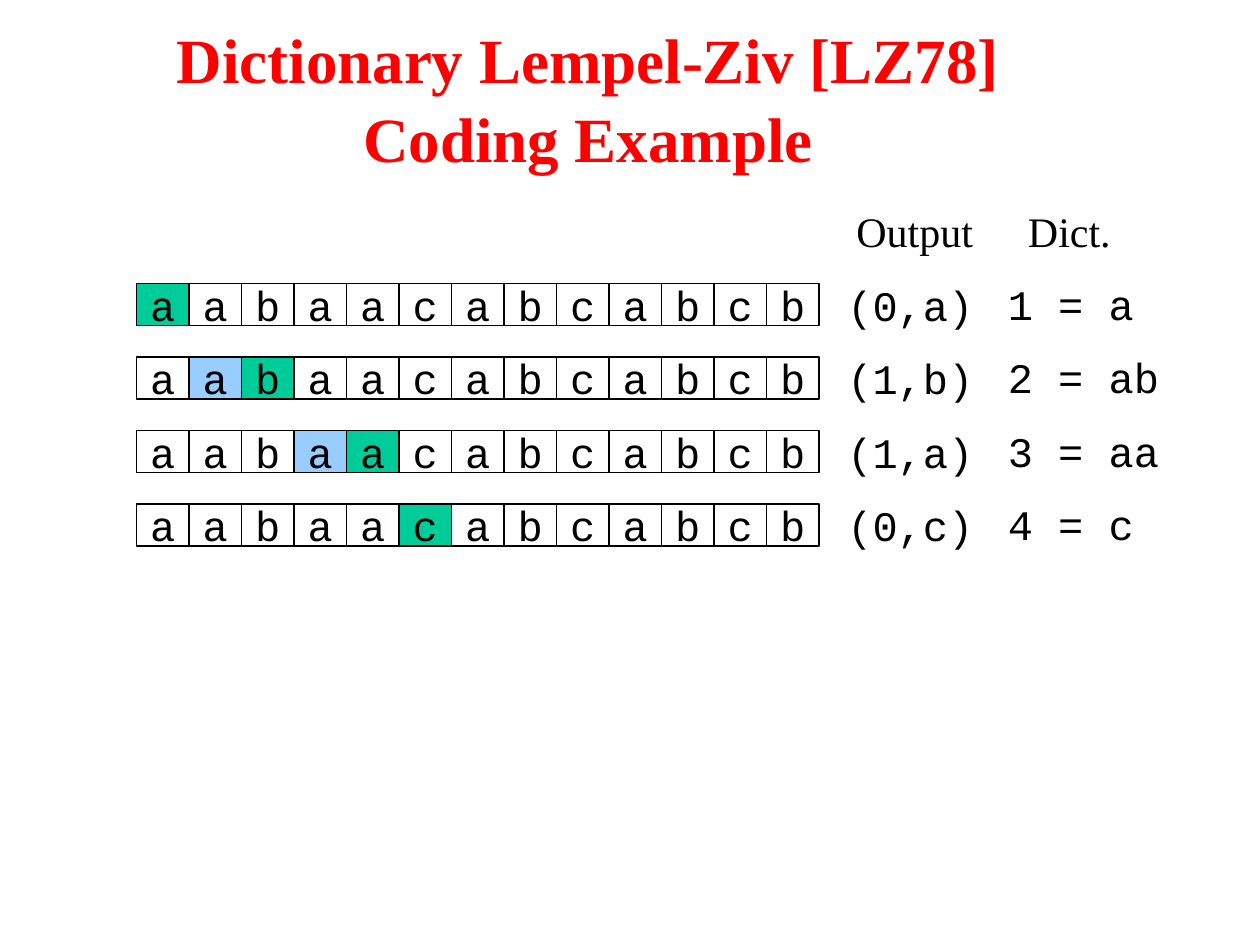
from dataclasses import dataclass

from pptx import Presentation
from pptx.dml.color import RGBColor as RGB
from pptx.enum.shapes import MSO_SHAPE as Shape
from pptx.enum.text import MSO_ANCHOR as Anchor, MSO_AUTO_SIZE as Fit, PP_ALIGN as Align
from pptx.util import Inches, Pt


@dataclass(frozen=True)
class Theme:
    ink: str = "000000"
    paper: str = "FFFFFF"
    title: str = "FF0000"
    match: str = "99CCFF"
    next: str = "00CC99"
    serif: str = "Times New Roman"
    mono: str = "Courier New"
    big: int = 36
    body: int = 24
    line: float = 0.75
    gap: int = 2


THEME = Theme()

# Grid: 120 columns by 90 rows on a slide of 10 by 7.5 inches
WIDE, HIGH = Inches(10), Inches(7.5)
COLS, ROWS = 120, 90
LEFT, TOP = 13, 27  # corner of the first cell
CELL_W, CELL_H, PITCH = 5, 4, 7

INPUT = "aabaacabcabcb"
# Each step: matched cells, index of next cell, output, dictionary entry
STEPS = [
    ([], 0, "(0,a)", "1 = a"),
    ([1], 2, "(1,b)", "2 = ab"),
    ([3], 4, "(1,a)", "3 = aa"),
    ([], 5, "(0,c)", "4 = c"),
]


def place(col, row, wide, high):
    """Turn grid columns and rows into slide lengths."""
    return (round(col * WIDE / COLS), round(row * HIGH / ROWS),
            round(wide * WIDE / COLS), round(high * HIGH / ROWS))


def write(par, text, face, size=THEME.body, color=THEME.ink,
          bold=False, align=Align.CENTER):
    par.alignment = align
    run = par.add_run()
    run.text = text
    font = run.font
    font.name, font.size, font.bold = face, Pt(size), bold
    font.color.rgb = RGB.from_string(color)


def add_cell(slide, col, row, char, fill):
    cell = slide.shapes.add_shape(Shape.RECTANGLE, *place(col, row, CELL_W, CELL_H))
    cell.shadow.inherit = False
    cell.fill.solid()
    cell.fill.fore_color.rgb = RGB.from_string(fill)
    cell.line.color.rgb = RGB.from_string(THEME.ink)
    cell.line.width = Pt(THEME.line)
    frame = cell.text_frame
    frame.word_wrap = False
    frame.vertical_anchor = Anchor.MIDDLE
    write(frame.paragraphs[0], char, THEME.mono)


def add_label(slide, col, row, wide, text, face, align=Align.CENTER):
    frame = slide.shapes.add_textbox(*place(col, row, wide, 6)).text_frame
    frame.word_wrap = False
    frame.auto_size = Fit.SHAPE_TO_FIT_TEXT
    write(frame.paragraphs[0], text, face, align=align)


def add_title(slide, lines):
    frame = slide.shapes.add_textbox(*place(5, 3.8, 102, 11)).text_frame
    frame.word_wrap = True
    frame.vertical_anchor = Anchor.MIDDLE
    for i, text in enumerate(lines):
        par = frame.add_paragraph() if i else frame.paragraphs[0]
        if i:
            par.space_before = Pt(THEME.gap)
        write(par, text, THEME.serif, THEME.big, THEME.title, bold=True)


def add_step(slide, row, match, new, output, entry):
    for i, char in enumerate(INPUT):
        fill = THEME.next if i == new else THEME.match if i in match else THEME.paper
        add_cell(slide, LEFT + i * CELL_W, row, char, fill)
    add_label(slide, 79.5, row - 1, 14.4, output, THEME.mono)
    # Label width: 2.4 columns per letter plus the side margins
    add_label(slide, 94.8, row - 1.1, 2.4 * (len(entry) + 1), entry,
              THEME.mono, Align.LEFT)


def main():
    deck = Presentation()
    deck.slide_width, deck.slide_height = WIDE, HIGH
    slide = deck.slides.add_slide(deck.slide_layouts[6])

    # Title and column heads
    add_title(slide, ["Dictionary Lempel-Ziv [LZ78]", "Coding Example"])
    add_label(slide, 80.3, 19, 13.6, "Output", THEME.serif)
    add_label(slide, 96.7, 19, 10.3, "Dict.", THEME.serif)

    # Coding steps
    for i, step in enumerate(STEPS):
        add_step(slide, TOP + i * PITCH, *step)

    deck.save("out.pptx")


if __name__ == "__main__":
    main()
